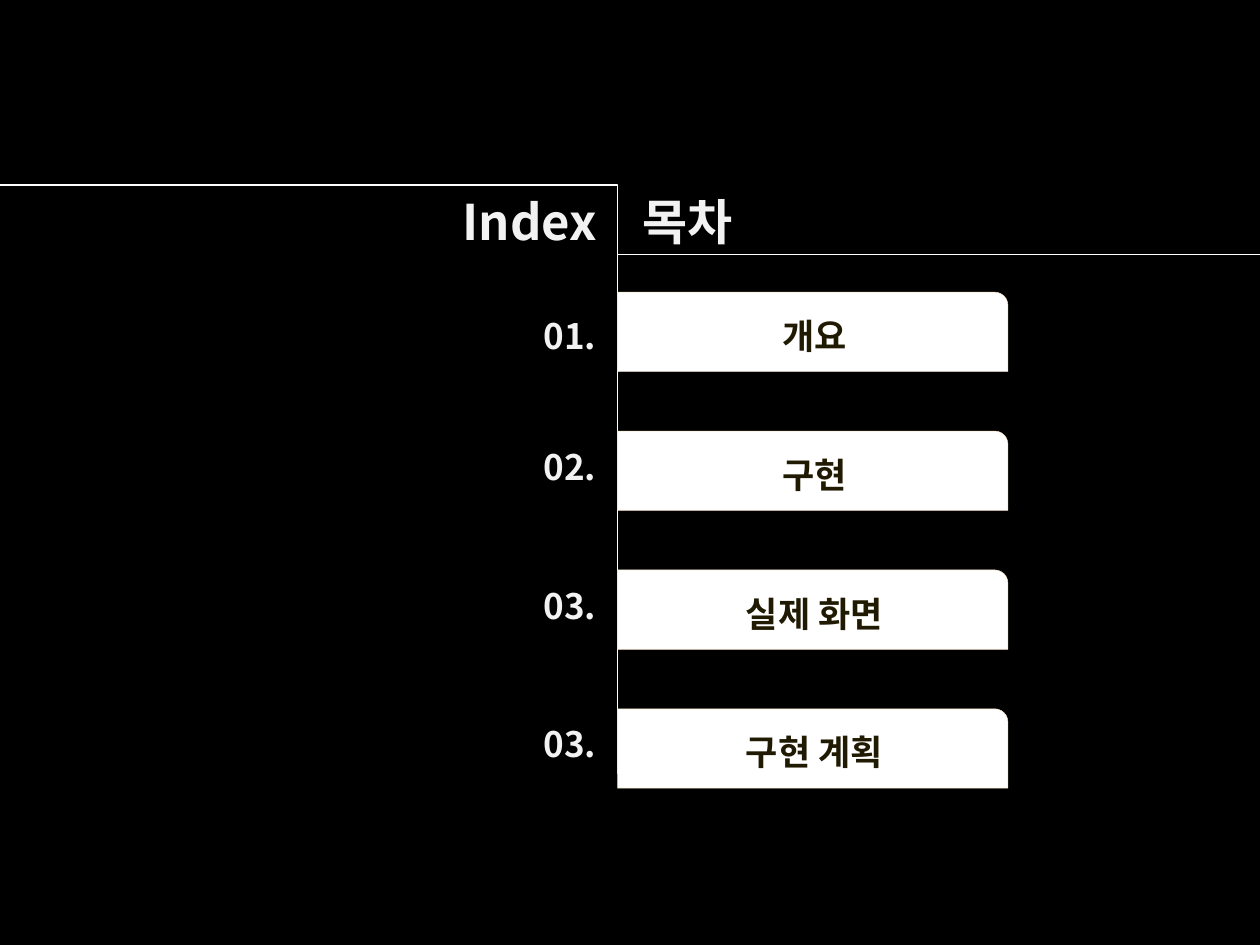
from pptx import Presentation
from pptx.dml.color import RGBColor
from pptx.enum.shapes import MSO_CONNECTOR, MSO_SHAPE
from pptx.enum.text import MSO_ANCHOR, MSO_AUTO_SIZE, PP_ALIGN
from pptx.oxml import parse_xml
from pptx.oxml.ns import nsdecls, qn
from pptx.util import Cm, Pt

TITLE = ("Index", "목차")
# number, label, distance of the number below the top of its bar (cm)
ITEMS = [
    ("01. ", "개요", 0.33),
    ("02. ", "구현", 0.16),
    ("03. ", "실제 화면", 0.16),
    ("03. ", "구현 계획", 0.16),
]
FONT = "Noto Sans CJK KR"
BLACK, WHITE, LIGHT, DARK = "000000", "FFFFFF", "F2F2F2", "201A02"
OUTLINE, BAR_EDGE = "D9D9D9", "F3DDBE"

SLIDE_W, SLIDE_H = 25.4, 19.05
AXIS_X, TOP_Y, RULE_Y, AXIS_END = 12.45, 3.73, 5.13, 15.6
BAR_TOP, BAR_W, BAR_H, PITCH = 5.89, 7.87, 1.6, 2.8
TEXT_H = 1.11


def rgb(value):
    return RGBColor.from_string(value)


def add_run(p, text, size, color):
    """Add a bold run with a faint outline."""
    r = p.add_run()
    r.text = text
    r.font.size = Pt(size)
    r.font.bold = True
    r.font.name = FONT
    r.font.color.rgb = rgb(color)
    rPr = r.font._element
    rPr.insert(0, parse_xml(
        f'<a:ln {nsdecls("a")} w="9525"><a:solidFill><a:srgbClr val="{OUTLINE}">'
        '<a:alpha val="30000"/></a:srgbClr></a:solidFill></a:ln>'))
    rPr.find(qn("a:latin")).addnext(
        parse_xml(f'<a:ea {nsdecls("a")} typeface="{FONT}"/>'))


def add_label(s, text, x, y, w, color):
    tf = s.shapes.add_textbox(Cm(x), Cm(y), Cm(w), Cm(TEXT_H)).text_frame
    tf.word_wrap = True
    tf.auto_size = MSO_AUTO_SIZE.SHAPE_TO_FIT_TEXT
    p = tf.paragraphs[0]
    p.alignment = PP_ALIGN.CENTER
    add_run(p, text, 20, color)


def add_line(s, kind, x1, y1, x2, y2):
    line = s.shapes.add_connector(kind, Cm(x1), Cm(y1), Cm(x2), Cm(y2))
    line.line.color.rgb = rgb(WHITE)
    line.line.width = Pt(0.75)
    line._element.spPr.append(parse_xml(f'<a:effectLst {nsdecls("a")}/>'))
    return line


def add_title(s):
    title = s.shapes.title
    title.left, title.top, title.width, title.height = (
        Cm(8.31), Cm(TOP_Y), Cm(7.6), Cm(1.45))
    tf = title.text_frame
    tf.auto_size = MSO_AUTO_SIZE.NONE
    tf.vertical_anchor = MSO_ANCHOR.MIDDLE
    tf.margin_left = Cm(1.02)
    p = tf.paragraphs[0]
    p.alignment = PP_ALIGN.LEFT
    p._p.get_or_add_pPr().append(parse_xml(
        f'<a:tabLst {nsdecls("a")}><a:tab pos="{Cm(3.62)}" algn="l"/></a:tabLst>'))
    add_run(p, "\t".join(TITLE), 28, LIGHT)


def add_bar(s, y):
    sp = s.shapes.add_shape(MSO_SHAPE.ROUND_1_RECTANGLE,
                            Cm(AXIS_X), Cm(y), Cm(BAR_W), Cm(BAR_H))
    sp.shadow.inherit = False
    sp.fill.solid()
    sp.fill.fore_color.rgb = rgb(WHITE)
    sp.line.color.rgb = rgb(BAR_EDGE)
    sp.line.width = Pt(0.25)


def main():
    prs = Presentation()
    prs.slide_width, prs.slide_height = Cm(SLIDE_W), Cm(SLIDE_H)
    s = prs.slides.add_slide(prs.slide_layouts[5])
    s.background.fill.solid()
    s.background.fill.fore_color.rgb = rgb(BLACK)

    add_title(s)
    step = add_line(s, MSO_CONNECTOR.ELBOW, 0, TOP_Y, SLIDE_W, RULE_Y)
    bend = round(AXIS_X / SLIDE_W * 100000)
    geom = step._element.spPr.find(qn("a:prstGeom"))
    geom.get_or_add_avLst().append(parse_xml(
        f'<a:gd {nsdecls("a")} name="adj1" fmla="val {bend}"/>'))
    add_line(s, MSO_CONNECTOR.STRAIGHT, AXIS_X, RULE_Y, AXIS_X, AXIS_END)

    for i, (number, label, drop) in enumerate(ITEMS):
        y = BAR_TOP + i * PITCH
        add_bar(s, y)
        add_label(s, label, 12.62, y + 0.32, 7.6, DARK)
        add_label(s, number, 8.94, y + drop, 5.26, LIGHT)

    prs.save("out.pptx")


if __name__ == "__main__":
    main()
